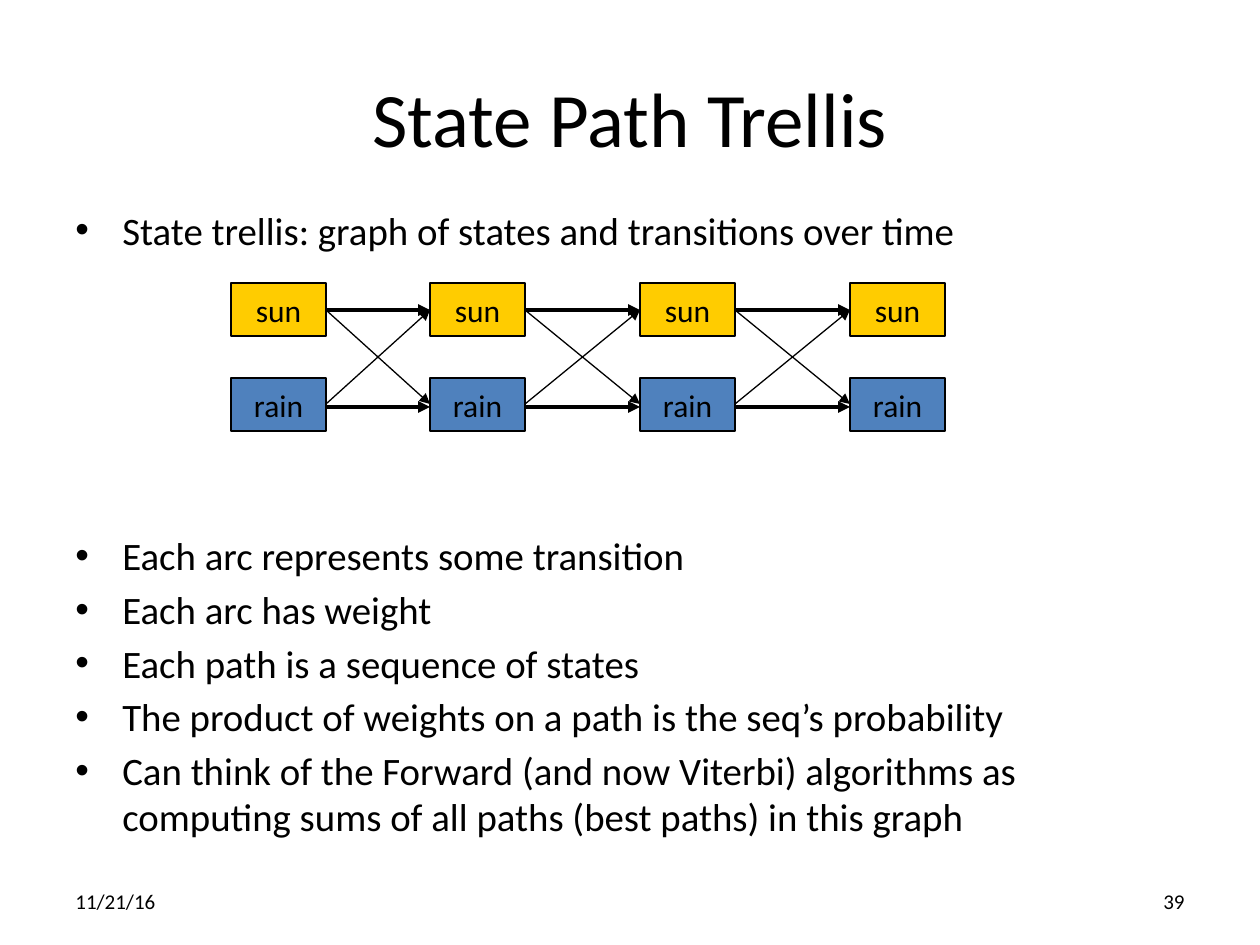
from itertools import pairwise

from lxml import etree
from pptx import Presentation
from pptx.dml.color import RGBColor
from pptx.enum.shapes import MSO_CONNECTOR as Connector, MSO_SHAPE as Shape
from pptx.enum.text import MSO_ANCHOR as Anchor, PP_ALIGN as Align
from pptx.oxml.ns import qn
from pptx.util import Pt

EMU_PER_PX = 914400 / 126
BLACK = "000000"
STATES = [("sun", 283, "FFCC00"), ("rain", 378, "4F81BD")]
STEP_LEFTS = [231, 430, 640, 850]
STATE_W, STATE_H = 95, 53
SUN_Y, RAIN_Y, RAIN_STAY_Y = 310, 404, 407
THICK, THIN = 2.25, 0.75
INDENT = 47
TRELLIS_GAP = 159.5
POINTS = [
    "State trellis: graph of states and transitions over time",
    "Each arc represents some transition",
    "Each arc has weight",
    "Each path is a sequence of states",
    "The product of weights on a path is the seq’s probability",
    "Can think of the Forward (and now Viterbi) algorithms as "
    "computing sums of all paths (best paths) in this graph",
]


def px(length):
    return round(length * EMU_PER_PX)


def color(hex_code):
    return RGBColor.from_string(hex_code)


def style(paragraph, size, align=Align.LEFT):
    paragraph.alignment = align
    font = paragraph.font
    font.name, font.size = "Calibri", Pt(size)
    font.color.rgb = color(BLACK)


def add_text(slide, text, box, size, align=Align.LEFT):
    frame = slide.shapes.add_textbox(*map(px, box)).text_frame
    frame.word_wrap = True
    frame.vertical_anchor = Anchor.MIDDLE
    frame.text = text
    style(frame.paragraphs[0], size, align)


def add_bullet(paragraph):
    props = paragraph._p.get_or_add_pPr()
    props.set("marL", str(px(INDENT)))
    props.set("indent", str(-px(INDENT)))
    etree.SubElement(props, qn("a:buFont"), typeface="Arial")
    etree.SubElement(props, qn("a:buChar"), char="•")


def add_points(slide, points, box):
    """Bulleted list with room for the trellis after the first point."""
    frame = slide.shapes.add_textbox(*map(px, box)).text_frame
    frame.word_wrap = True
    for i, point in enumerate(points):
        paragraph = frame.add_paragraph() if i else frame.paragraphs[0]
        paragraph.text = point
        if i:
            paragraph.space_before = Pt(TRELLIS_GAP if i == 1 else 4)
        add_bullet(paragraph)
        style(paragraph, 22.2)


def add_state(slide, name, left, top, fill):
    state = slide.shapes.add_shape(
        Shape.RECTANGLE, px(left), px(top), px(STATE_W), px(STATE_H))
    state.shadow.inherit = False
    state.fill.solid()
    state.fill.fore_color.rgb = color(fill)
    state.line.color.rgb = color(BLACK)
    state.line.width = Pt(0.75)
    frame = state.text_frame
    frame.word_wrap = False
    frame.vertical_anchor = Anchor.MIDDLE
    frame.text = name
    style(frame.paragraphs[0], 18, Align.CENTER)


def add_arc(slide, x1, y1, x2, y2, width):
    arc = slide.shapes.add_connector(
        Connector.STRAIGHT, px(x1), px(y1), px(x2), px(y2))
    arc.line.color.rgb = color(BLACK)
    arc.line.width = Pt(width)
    etree.SubElement(arc.line._get_or_add_ln(), qn("a:tailEnd"), type="triangle")
    etree.SubElement(arc._element.spPr, qn("a:effectLst"))


def add_trellis(slide):
    for left in STEP_LEFTS:
        for name, top, fill in STATES:
            add_state(slide, name, left, top, fill)
    arcs = [(SUN_Y, SUN_Y, THICK), (SUN_Y, RAIN_Y, THIN),
            (RAIN_Y, SUN_Y, THIN), (RAIN_STAY_Y, RAIN_STAY_Y, THICK)]
    for left, following in pairwise(STEP_LEFTS):
        for start_y, end_y, width in arcs:
            add_arc(slide, left + STATE_W, start_y, following, end_y, width)


def main():
    deck = Presentation()
    deck.slide_width, deck.slide_height = px(1260), px(945)
    slide = deck.slides.add_slide(deck.slide_layouts[6])
    add_text(slide, "State Path Trellis", (63, 38, 1134, 158), 44, Align.CENTER)
    add_points(slide, POINTS, (63, 200, 1134, 703))
    add_text(slide, "11/21/16", (63, 876, 294, 50), 12)
    add_text(slide, "39", (903, 876, 294, 50), 12, Align.RIGHT)
    add_trellis(slide)
    deck.save("out.pptx")


if __name__ == "__main__":
    main()
